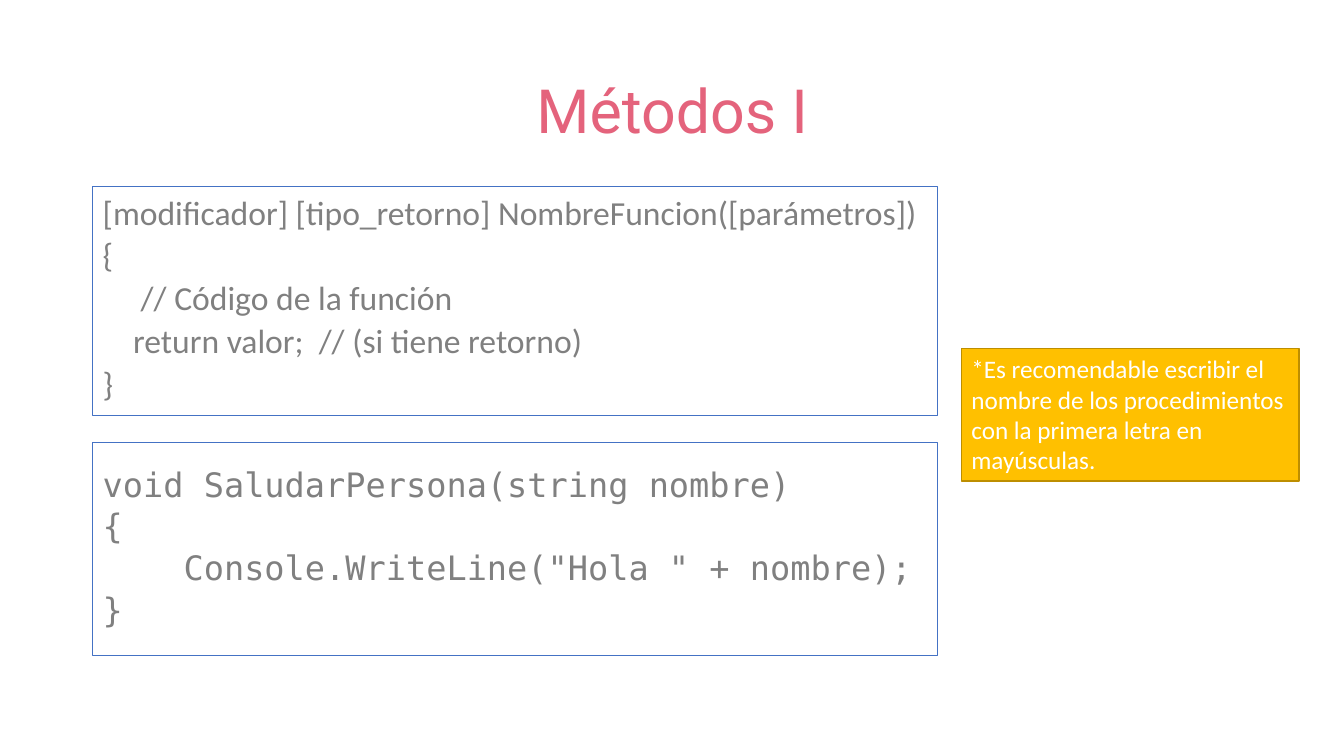
"""Build the slide that introduces methods and their syntax."""
from dataclasses import dataclass

from pptx import Presentation
from pptx.dml.color import RGBColor
from pptx.enum.shapes import MSO_SHAPE
from pptx.enum.text import MSO_ANCHOR, PP_ALIGN
from pptx.util import Cm, Pt

RECTANGLE = MSO_SHAPE.RECTANGLE
TOP, MIDDLE = MSO_ANCHOR.TOP, MSO_ANCHOR.MIDDLE
LEFT, CENTER = PP_ALIGN.LEFT, PP_ALIGN.CENTER
BLANK_LAYOUT = 6


@dataclass(frozen=True)
class Theme:
    pink: RGBColor = RGBColor(0xE4, 0x63, 0x7C)
    gray: RGBColor = RGBColor(0x80, 0x80, 0x80)
    white: RGBColor = RGBColor(0xFF, 0xFF, 0xFF)
    blue: RGBColor = RGBColor(0x44, 0x72, 0xC4)
    amber: RGBColor = RGBColor(0xFF, 0xC0, 0x00)
    dark_amber: RGBColor = RGBColor(0xBD, 0x8E, 0x00)
    title_size: Pt = Pt(43.5)
    code_size: Pt = Pt(24)
    note_size: Pt = Pt(18)
    heading_font: str = "Roboto"
    body_font: str = "Calibri"
    code_font: str = "DejaVu Sans Mono"


THEME = Theme()

SYNTAX = [
    "[modificador] [tipo_retorno] NombreFuncion([parámetros])",
    "{",
    "     // Código de la función",
    "    return valor;  // (si tiene retorno)",
    "}",
]
EXAMPLE = [
    "void SaludarPersona(string nombre)",
    "{",
    '    Console.WriteLine("Hola " + nombre);',
    "}",
]
NOTE = ["*Es recomendable escribir el nombre de los procedimientos "
        "con la primera letra en mayúsculas."]


def apply_format(target, values):
    for name, value in values.items():
        setattr(target, name, value)


def write_lines(shape, lines, font, color, anchor=MIDDLE, gap=Pt(0), **layout):
    frame = shape.text_frame
    apply_format(frame, {"word_wrap": True, "vertical_anchor": anchor})
    for index, line in enumerate(lines):
        paragraph = frame.add_paragraph() if index else frame.paragraphs[0]
        paragraph.text = line
        apply_format(paragraph, {"alignment": LEFT, **layout})
        paragraph.space_before = gap if index else Pt(0)
        apply_format(paragraph.font, font)
        paragraph.font.color.rgb = color


def add_title(slide, text, *bounds):
    shape = slide.shapes.add_textbox(*bounds)
    font = {"name": THEME.heading_font, "size": THEME.title_size}
    write_lines(shape, [text], font, THEME.pink,
                alignment=CENTER, line_spacing=0.9)


def add_box(slide, bounds, line_color, line_width, fill_color=None):
    shape = slide.shapes.add_shape(RECTANGLE, *bounds)
    shape.shadow.inherit = False
    if fill_color is None:
        shape.fill.background()
    else:
        shape.fill.solid()
        shape.fill.fore_color.rgb = fill_color
    shape.line.color.rgb = line_color
    shape.line.width = line_width
    return shape


def add_code_box(slide, lines, top, height, font_name, line_spacing, gap):
    bounds = (Cm(2.34), top, Cm(21.29), height)
    shape = add_box(slide, bounds, THEME.blue, Pt(0.75))
    font = {"name": font_name, "size": THEME.code_size}
    write_lines(shape, lines, font, THEME.gray,
                gap=gap, line_spacing=line_spacing)


def add_note(slide, lines, *bounds):
    shape = add_box(slide, bounds, THEME.dark_amber, Pt(1), THEME.amber)
    font = {"name": THEME.body_font, "size": THEME.note_size}
    write_lines(shape, lines, font, THEME.white, anchor=TOP)


def main():
    presentation = Presentation()
    presentation.slide_width = Cm(33.87)
    presentation.slide_height = Cm(19.05)
    slide = presentation.slides.add_slide(
        presentation.slide_layouts[BLANK_LAYOUT])
    add_title(slide, "Métodos I", Cm(2.34), Cm(1.02), Cm(29.21), Cm(3.68))
    add_code_box(slide, SYNTAX, Cm(4.7), Cm(5.77),
                 THEME.body_font, 0.8, Pt(7.5))
    add_note(slide, NOTE, Cm(24.23), Cm(8.79), Cm(8.51), Cm(3.33))
    add_code_box(slide, EXAMPLE, Cm(11.15), Cm(5.36),
                 THEME.code_font, 0.9, Pt(3.8))
    presentation.save("out.pptx")


if __name__ == "__main__":
    main()
